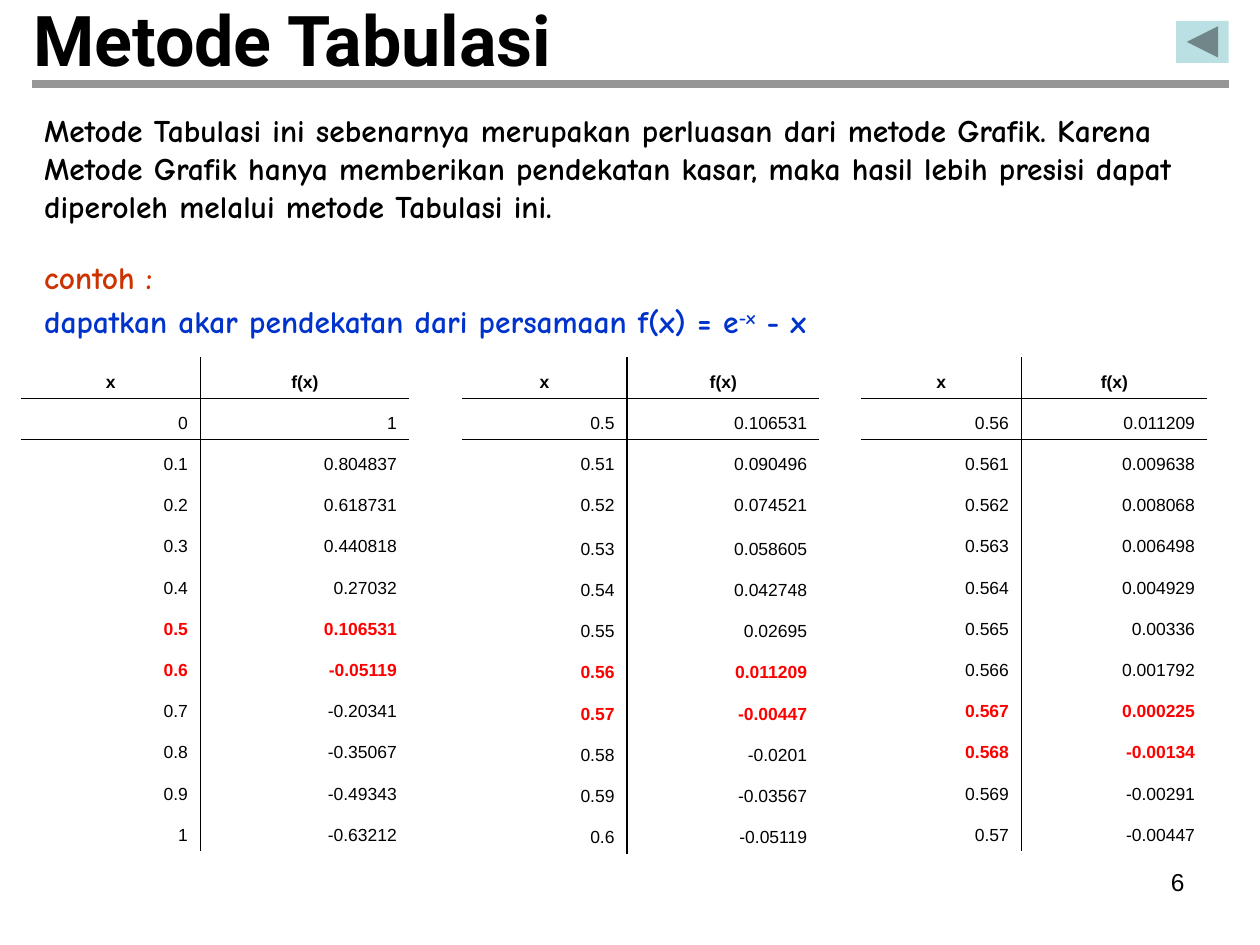
from dataclasses import dataclass
from math import exp

from lxml import etree
from pptx import Presentation
from pptx.dml.color import RGBColor
from pptx.enum.shapes import MSO_CONNECTOR, MSO_SHAPE
from pptx.enum.text import MSO_ANCHOR, MSO_AUTO_SIZE, PP_ALIGN
from pptx.oxml.ns import qn
from pptx.util import Cm, Pt

LEFT, CENTER, RIGHT = PP_ALIGN.LEFT, PP_ALIGN.CENTER, PP_ALIGN.RIGHT
MIDDLE, BOTTOM = MSO_ANCHOR.MIDDLE, MSO_ANCHOR.BOTTOM
NO_AUTOFIT = MSO_AUTO_SIZE.NONE
STRAIGHT = MSO_CONNECTOR.STRAIGHT
BACK_BUTTON = MSO_SHAPE.ACTION_BUTTON_BACK_OR_PREVIOUS
TITLE_ONLY = 5
NO_TABLE_STYLE = "{2D5ABB26-0587-4C30-8999-92F81FD0307C}"


@dataclass(frozen=True)
class Theme:
    black: str = "000000"
    rule: str = "969696"
    example: str = "CC3300"
    question: str = "0033CC"
    root: str = "FF0000"
    button: str = "BBE0E3"
    title_font: str = "Roboto"
    body_font: str = "Comic Neue"
    table_font: str = "Arial"
    title_size: int = 40
    body_size: int = 18
    number_size: int = 14
    table_size: int = 10


THEME = Theme()
TITLE = dict(font=THEME.title_font, size=THEME.title_size, bold=True)
BODY = dict(font=THEME.body_font, size=THEME.body_size, bold=True)
CELL = dict(font=THEME.table_font, size=THEME.table_size)
NUMBER = dict(font=THEME.table_font, size=THEME.number_size)

INTRO = (
    "Metode Tabulasi ini sebenarnya merupakan perluasan dari metode Grafik. "
    "Karena Metode Grafik hanya memberikan pendekatan kasar, maka hasil lebih "
    "presisi dapat diperoleh melalui metode Tabulasi ini."
)

# Each tabulation: left edge, column widths (cm), first x, step, taller row
TABULATIONS = [
    (0.42, (3.62, 4.21), 0, 0.1, None),
    (9.31, (3.33, 3.88), 0.5, 0.01, 4),
    (17.36, (3.23, 3.75), 0.56, 0.001, None),
]
TABLE_TOP, ROW_HEIGHT, TALL_ROW_HEIGHT = 7.2, 0.83, 0.88
STEPS = 11


def add_span(para, text, *, font, size, color=THEME.black, bold=False, baseline=0):
    span = para.add_run()
    span.text = text
    span.font.name = font
    span.font.size = Pt(size)
    span.font.bold = bold
    span.font.color.rgb = RGBColor.from_string(color)
    if baseline:
        span.font._element.set("baseline", str(baseline * 1000))


def write(para, text, *, align=LEFT, space_before=0, **style):
    para.alignment = align
    para.space_before = Pt(space_before)
    add_span(para, text, **style)
    return para


def add_box(page, left, top, width, height):
    box = page.shapes.add_textbox(Cm(left), Cm(top), Cm(width), Cm(height))
    box.text_frame.word_wrap = True
    return box.text_frame


def add_title(page, text):
    title = page.shapes.title
    title.left, title.top = Cm(0.42), Cm(0)
    title.width, title.height = Cm(22.86), Cm(1.57)
    frame = title.text_frame
    frame.auto_size = NO_AUTOFIT
    frame.vertical_anchor = MIDDLE
    write(frame.paragraphs[0], text, **TITLE)


def add_rule(page, left, right, top):
    rule = page.shapes.add_connector(STRAIGHT, Cm(left), Cm(top), Cm(right), Cm(top))
    rule.line.color.rgb = RGBColor.from_string(THEME.rule)
    rule.line.width = Pt(4.5)
    etree.SubElement(rule._element.spPr, qn("a:effectLst"))


def add_back_button(page):
    button = page.shapes.add_shape(BACK_BUTTON, Cm(23.71), Cm(0.42), Cm(1.06), Cm(0.85))
    button.shadow.inherit = False
    button.fill.solid()
    button.fill.fore_color.rgb = RGBColor.from_string(THEME.button)
    button.line.fill.background()


def add_border(cell, side):
    line = etree.SubElement(cell._tc.get_or_add_tcPr(), qn(f"a:ln{side}"), w=str(Pt(1)))
    fill = etree.SubElement(line, qn("a:solidFill"))
    etree.SubElement(fill, qn("a:srgbClr"), val=THEME.black)


def tabulate(start, step):
    """Rows of x, f(x) and whether the row lies beside the change of sign."""
    xs = [round(start + step * i, 3) for i in range(STEPS)]
    values = [exp(-x) - x for x in xs]
    last_positive = sum(value > 0 for value in values) - 1
    rows = []
    for i, (x, value) in enumerate(zip(xs, values)):
        rounded = round(value, 6 if value > 0 else 5)
        rows.append((f"{x:g}", f"{rounded:g}", i in (last_positive, last_positive + 1)))
    return rows


def add_tabulation(page, left, widths, start, step, tall_row):
    rows = [("x", "f(x)", False)] + tabulate(start, step)
    frame = page.shapes.add_table(
        len(rows), 2, Cm(left), Cm(TABLE_TOP),
        Cm(sum(widths)), Cm(ROW_HEIGHT * len(rows)),
    )
    table = frame.table
    table._tbl.tblPr.find(qn("a:tableStyleId")).text = NO_TABLE_STYLE
    table.first_row = table.horz_banding = False
    for column, width in zip(table.columns, widths):
        column.width = Cm(width)

    for r, (x, value, near_root) in enumerate(rows):
        table.rows[r].height = Cm(TALL_ROW_HEIGHT if r == tall_row else ROW_HEIGHT)
        header = r == 0
        for c, text in enumerate((x, value)):
            cell = table.cell(r, c)
            cell.vertical_anchor = BOTTOM
            write(
                cell.text_frame.paragraphs[0], text,
                align=CENTER if header else RIGHT,
                bold=header or near_root,
                color=THEME.root if near_root else THEME.black, **CELL,
            )
            add_border(cell, "L" if c else "R")
            if r < 2:
                add_border(cell, "B" if header else "T")
            cell.fill.background()


def main():
    deck = Presentation()
    deck.slide_width, deck.slide_height = Cm(25.4), Cm(19.05)
    page = deck.slides.add_slide(deck.slide_layouts[TITLE_ONLY])

    # Heading
    add_title(page, "Metode Tabulasi")
    add_rule(page, 0.64, 24.77, 1.69)
    add_back_button(page)

    # Introduction and example
    gap = 0.2 * THEME.body_size
    intro = add_box(page, 0.64, 2.12, 24.13, 2.74)
    write(intro.paragraphs[0], INTRO, space_before=gap, **BODY)

    example = add_box(page, 0.64, 5.08, 23.93, 2.11)
    write(example.paragraphs[0], "contoh :", space_before=gap,
          color=THEME.example, **BODY)
    question = dict(BODY, color=THEME.question)
    para = write(example.add_paragraph(),
                 "dapatkan akar pendekatan dari persamaan f(x) = e",
                 space_before=gap, **question)
    add_span(para, "-x", baseline=30, **question)
    add_span(para, " - x", **question)

    # Successively finer tabulations
    for tabulation in TABULATIONS:
        add_tabulation(page, *tabulation)

    # Page number
    number = add_box(page, 18.2, 17.36, 5.93, 1.32)
    write(number.paragraphs[0], "6", align=RIGHT, **NUMBER)

    deck.save("out.pptx")


if __name__ == "__main__":
    main()
